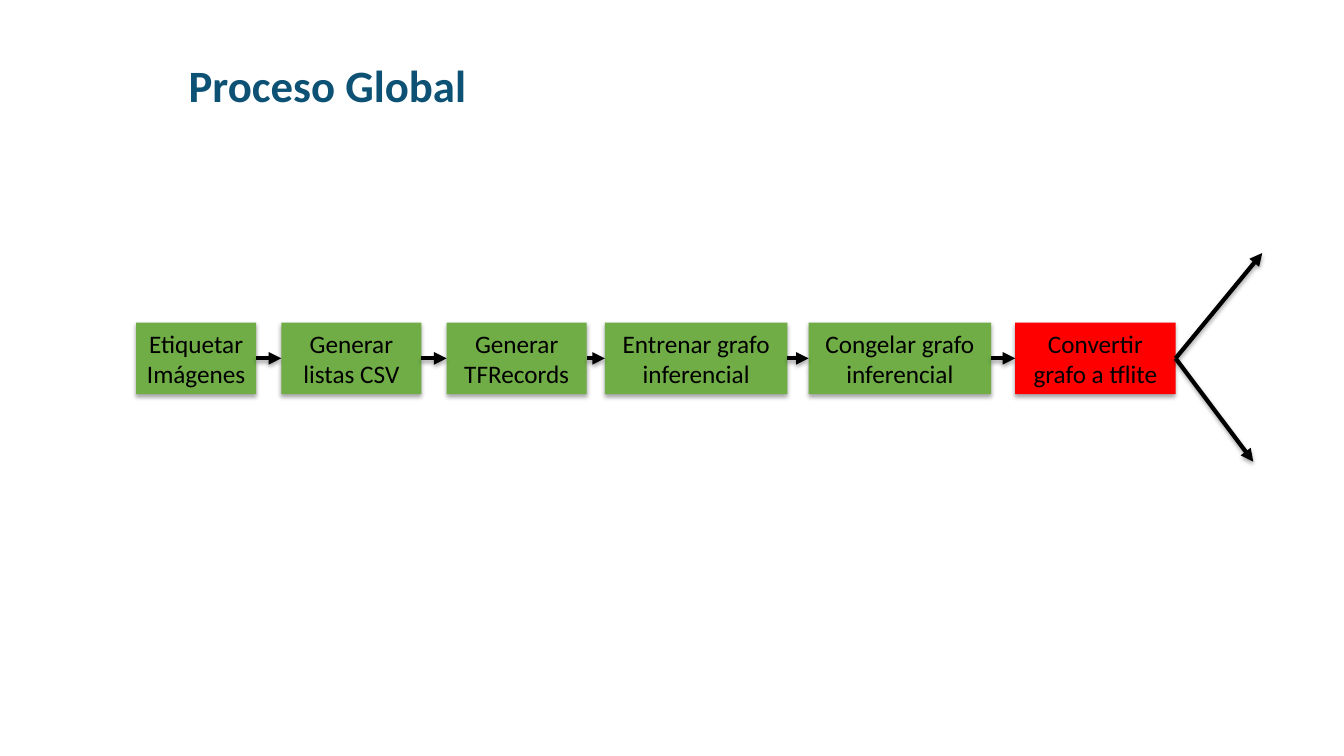
from lxml import etree
from pptx import Presentation
from pptx import util as u
from pptx.dml.color import RGBColor
from pptx.enum import shapes, text
from pptx.oxml import parse_xml
from pptx.oxml.ns import nsdecls, qn

COLORS = {"heading": "0D5274", "done": "70AD47", "pending": "FF0000", "ink": "000000"}
FONT = "Calibri"

prs = Presentation()
prs.slide_width, prs.slide_height = u.Inches(13.33), u.Inches(7.5)
col, row = prs.slide_width / 100, prs.slide_height / 100
slide = prs.slides.add_slide(prs.slide_layouts[5])


def add_shadow(part):
    part._element.spPr.append(parse_xml(
        f'<a:effectLst {nsdecls("a")}>'
        '<a:outerShdw blurRad="40000" dist="23000" dir="5400000" rotWithShape="0">'
        f'<a:srgbClr val="{COLORS["ink"]}"><a:alpha val="35000"/></a:srgbClr>'
        '</a:outerShdw></a:effectLst>'))


def add_arrow(start, x, y):
    arrow = slide.shapes.add_connector(
        shapes.MSO_CONNECTOR.STRAIGHT, start.left + start.width,
        start.top + start.height // 2, int(x), int(y))
    arrow.begin_connect(start, 3)
    arrow.line.color.rgb = RGBColor.from_string(COLORS["ink"])
    arrow.line.width = u.Pt(3)
    etree.SubElement(arrow.line._get_or_add_ln(), qn("a:tailEnd"), type="triangle")
    add_shadow(arrow)
    return arrow


heading = slide.shapes.title
heading.left, heading.top = int(13.28 * col), int(6.93 * row)
heading.width, heading.height = int(56.19 * col), int(8.53 * row)
heading.text_frame.text = "Proceso Global"
heading.text_frame.auto_size = text.MSO_AUTO_SIZE.SHAPE_TO_FIT_TEXT
heading.text_frame.vertical_anchor = text.MSO_ANCHOR.TOP
heading_line = heading.text_frame.paragraphs[0]
heading_line.alignment = text.PP_ALIGN.LEFT
heading_line.font.name = FONT
heading_line.font.size = u.Pt(32)
heading_line.font.bold = True
heading_line.font.color.rgb = RGBColor.from_string(COLORS["heading"])

stages = [
    ("Etiquetar\nImágenes", 10.13, 8.93, "done"),
    ("Generar listas CSV", 20.93, 10.43, "done"),
    ("Generar TFRecords", 33.23, 10.43, "done"),
    ("Entrenar grafo inferencial", 45.01, 13.58, "done"),
    ("Congelar grafo inferencial", 60.17, 13.58, "done"),
    ("Convertir grafo a tflite", 75.54, 11.93, "pending"),
]
previous = None
for label, left, width, state in stages:
    stage = slide.shapes.add_shape(
        shapes.MSO_SHAPE.RECTANGLE, int(left * col), int(42.67 * row),
        int(width * col), int(9.47 * row))
    stage.fill.solid()
    stage.fill.fore_color.rgb = RGBColor.from_string(COLORS[state])
    stage.line.fill.background()
    add_shadow(stage)
    stage.text_frame.text = label
    stage.text_frame.word_wrap = True
    stage.text_frame.auto_size = text.MSO_AUTO_SIZE.SHAPE_TO_FIT_TEXT
    for paragraph in stage.text_frame.paragraphs:
        paragraph.alignment = text.PP_ALIGN.CENTER
        paragraph.font.name = FONT
        paragraph.font.size = u.Pt(18)
        paragraph.font.color.rgb = RGBColor.from_string(COLORS["ink"])
    if previous:
        step = add_arrow(previous, stage.left, stage.top + stage.height // 2)
        step.end_connect(stage, 1)
    previous = stage

for branch_x, branch_y in [(93.92, 33.47), (93.25, 61.07)]:
    add_arrow(previous, branch_x * col, branch_y * row)

prs.save("out.pptx")
